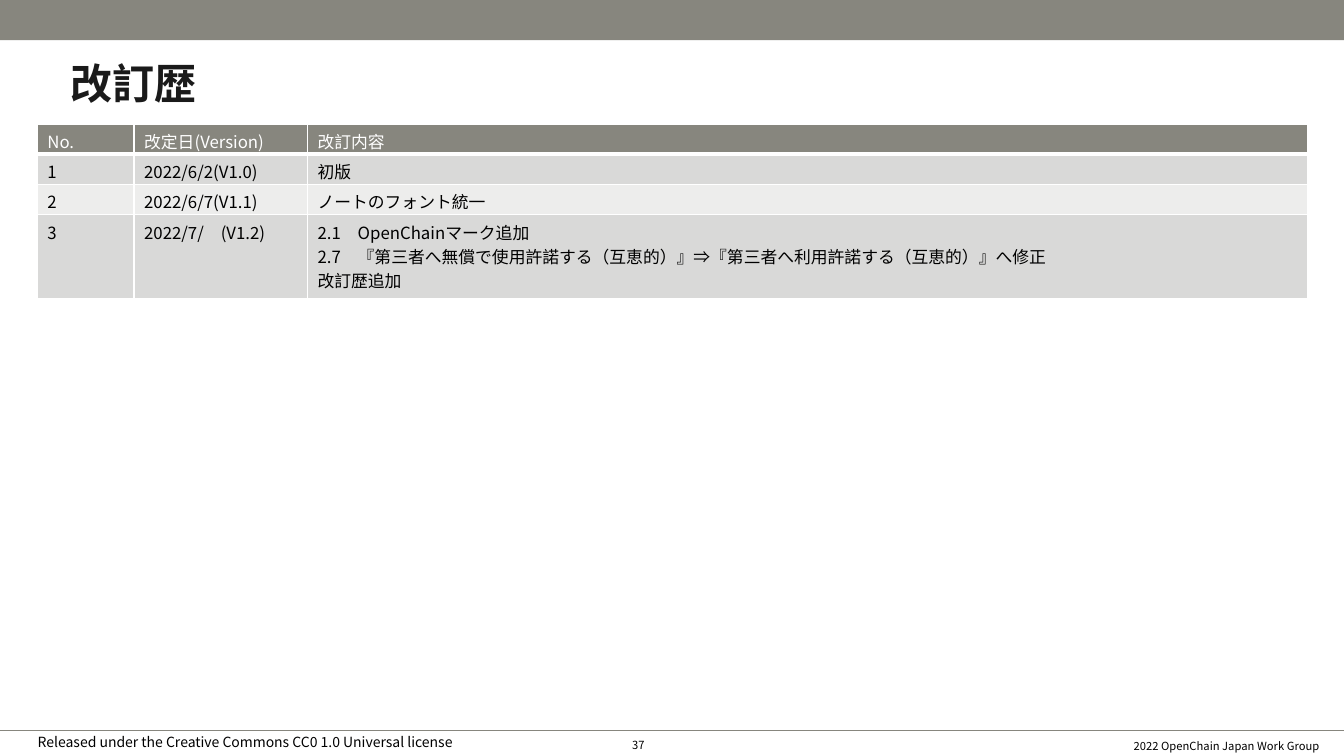
from dataclasses import dataclass

from lxml import etree
from pptx import Presentation
from pptx import util as u
from pptx.dml.color import RGBColor
from pptx.enum import shapes, text
from pptx.oxml import ns

FONT = "Noto Sans CJK JP"
GREY, BLACK, WHITE = "87867E", "000000", "FFFFFF"
HEADER = ("No.", "改定日(Version)", "改訂内容")
REVISIONS = (
    ("1", "2022/6/2(V1.0)", "初版"),
    ("2", "2022/6/7(V1.1)", "ノートのフォント統一"),
    ("3", "2022/7/　(V1.2)",
     "2.1　OpenChainマーク追加\n"
     "2.7　『第三者へ無償で使用許諾する（互恵的）』⇒『第三者へ利用許諾する（互恵的）』へ修正\n"
     "改訂歴追加"),
)
COLUMN_WIDTHS = (0.96, 1.72, 9.92)
ROW_HEIGHTS = (0.3, 0.3, 0.3, 0.83)
ROW_FILLS = (GREY, "D9D9D8", "EDEDEC", "D9D9D8")


@dataclass(frozen=True)
class Label:
    words: str
    left: float
    top: float
    width: float
    height: float
    size: float
    align: text.PP_ALIGN
    anchor: text.MSO_ANCHOR = text.MSO_ANCHOR.MIDDLE
    inset: tuple[float, float] = (0, 0)


LABELS = (
    Label("Released under the Creative Commons CC0 1.0 Universal license",
          0.03, 7.23, 4.8, 0.27, 10, text.PP_ALIGN.CENTER,
          text.MSO_ANCHOR.TOP, (0.1, 0.05)),
    Label("2022 OpenChain Japan Work Group",
          7.22, 7.29, 5.87, 0.22, 8, text.PP_ALIGN.RIGHT),
    Label("37", 6.27, 7.28, 0.79, 0.22, 8, text.PP_ALIGN.LEFT),
)


def color(value: str) -> RGBColor:
    return RGBColor.from_string(value)


def place(shape, left: float, top: float, width: float, height: float) -> None:
    shape.left, shape.top = u.Inches(left), u.Inches(top)
    shape.width, shape.height = u.Inches(width), u.Inches(height)


def format_text(frame, size: float, ink: str, align: text.PP_ALIGN, bold: bool = False) -> None:
    for para in frame.paragraphs:
        para.alignment = align
        for span in para.runs:
            span.font.size = u.Pt(size)
            span.font.bold = bold
            span.font.color.rgb = color(ink)
            span.font.name = FONT
            east_asian = etree.SubElement(span.font._element, ns.qn("a:ea"))
            east_asian.set("typeface", FONT)


def add_label(page, label: Label) -> None:
    box = page.shapes.add_textbox(0, 0, 0, 0)
    place(box, label.left, label.top, label.width, label.height)
    frame = box.text_frame
    frame.word_wrap = True
    frame.vertical_anchor = label.anchor
    across, down = label.inset
    frame.margin_left = frame.margin_right = u.Inches(across)
    frame.margin_top = frame.margin_bottom = u.Inches(down)
    frame.text = label.words
    format_text(frame, label.size, BLACK, label.align)


def add_title(page) -> None:
    title = page.shapes.title
    place(title, 0.6, 0.52, 1.46, 0.61)
    frame = title.text_frame
    frame.text = "改訂歴"
    frame.word_wrap = False
    frame.auto_size = text.MSO_AUTO_SIZE.NONE
    frame.vertical_anchor = text.MSO_ANCHOR.MIDDLE
    format_text(frame, 30, "1A1A1A", text.PP_ALIGN.LEFT, bold=True)


def add_frame_marks(page) -> None:
    rule = page.shapes.add_connector(
        shapes.MSO_CONNECTOR.STRAIGHT, 0, u.Inches(7.25), u.Inches(13.33), u.Inches(7.25))
    rule.line.color.rgb = color(GREY)
    rule.line.width = u.Pt(1)
    etree.SubElement(rule._element.spPr, ns.qn("a:effectLst"))
    band = page.shapes.add_shape(
        shapes.MSO_SHAPE.RECTANGLE, 0, 0, u.Inches(13.33), u.Inches(0.4))
    band.shadow.inherit = False
    band.fill.solid()
    band.fill.fore_color.rgb = color(GREY)
    band.line.fill.background()


def set_borders(cell, row: int) -> None:
    widths = {"lnL": 1, "lnR": 1, "lnT": 3 if row == 1 else 1, "lnB": 3 if row == 0 else 1}
    properties = cell._tc.get_or_add_tcPr()
    for index, (side, width) in enumerate(widths.items()):
        border = etree.Element(ns.qn(f"a:{side}"), w=str(u.Pt(width)))
        fill = etree.SubElement(border, ns.qn("a:solidFill"))
        etree.SubElement(fill, ns.qn("a:srgbClr"), val=WHITE)
        properties.insert(index, border)


def add_revision_table(page) -> None:
    records = (HEADER, *REVISIONS)
    table = page.shapes.add_table(
        len(records), len(HEADER), u.Inches(0.37), u.Inches(1.23),
        u.Inches(sum(COLUMN_WIDTHS)), u.Inches(sum(ROW_HEIGHTS))).table
    for column, width in zip(table.columns, COLUMN_WIDTHS):
        column.width = u.Inches(width)
    for row, record in enumerate(records):
        table.rows[row].height = u.Inches(ROW_HEIGHTS[row])
        for column, words in enumerate(record):
            cell = table.cell(row, column)
            cell.margin_left = cell.margin_right = u.Inches(0.1)
            cell.margin_top, cell.margin_bottom = u.Inches(0.05), 0
            cell.fill.solid()
            cell.fill.fore_color.rgb = color(ROW_FILLS[row])
            set_borders(cell, row)
            cell.text_frame.text = words
            format_text(cell.text_frame, 12, WHITE if row == 0 else BLACK, text.PP_ALIGN.LEFT)


def main() -> None:
    deck = Presentation()
    deck.slide_width, deck.slide_height = u.Inches(13.33), u.Inches(7.5)
    page = deck.slides.add_slide(deck.slide_layouts.get_by_name("Title Only"))
    add_frame_marks(page)
    for label in LABELS:
        add_label(page, label)
    add_title(page)
    add_revision_table(page)
    deck.save("out.pptx")


if __name__ == "__main__":
    main()
